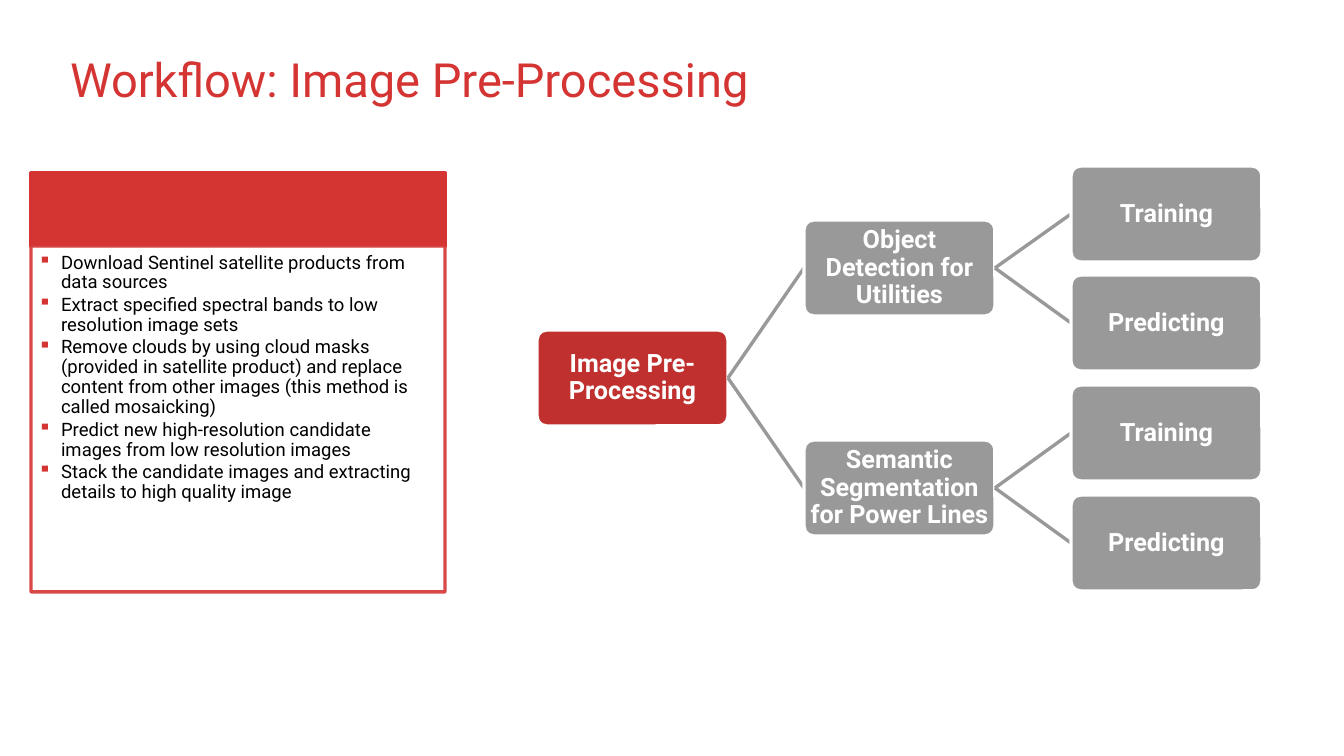
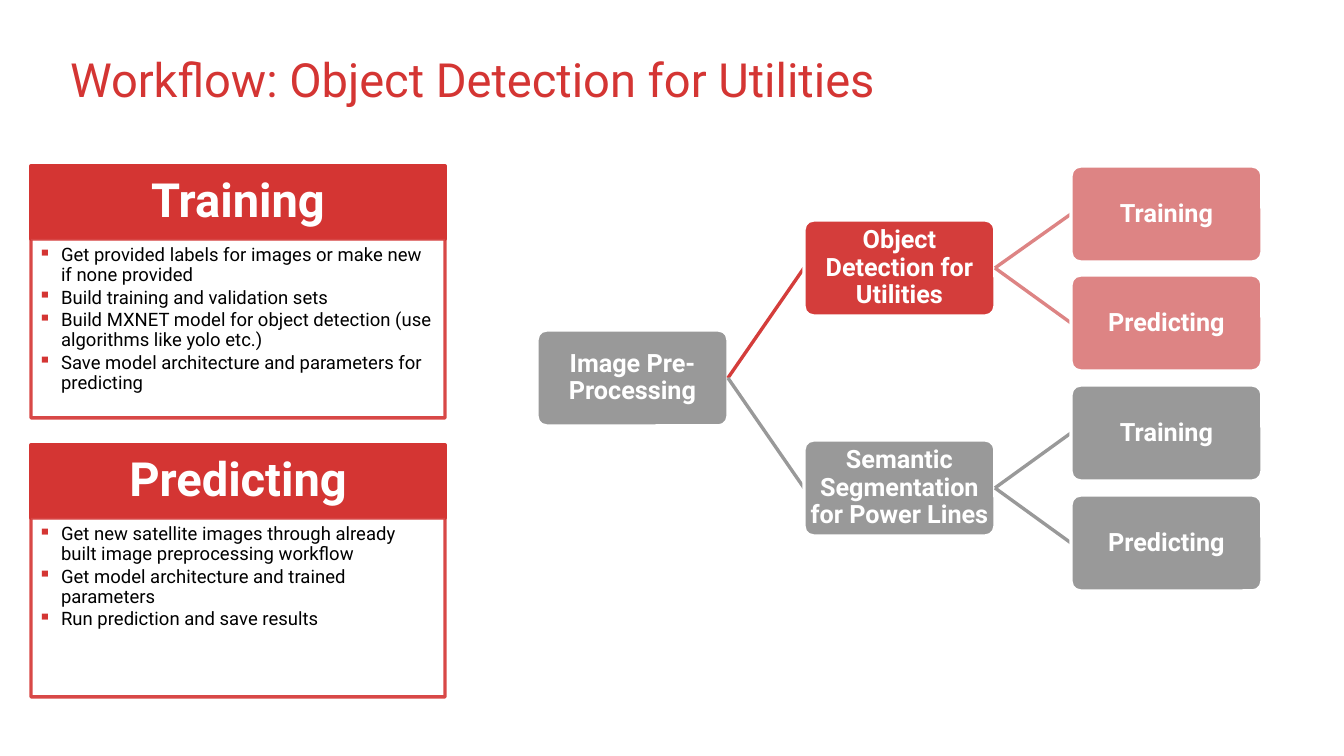
"""Builds two workflow slides: step panels on the left, a workflow tree on the right."""
import lxml.etree
import pptx
import pptx.dml.color
import pptx.enum.shapes
import pptx.enum.text
import pptx.oxml.ns
import pptx.util

PX = 914400 / 121
FONT = "Roboto"
RED = pptx.dml.color.RGBColor(0xD4, 0x35, 0x33)
DEEP_RED = pptx.dml.color.RGBColor(0xC0, 0x30, 0x2E)
BRIGHT_RED = pptx.dml.color.RGBColor(0xD4, 0x3D, 0x3B)
PALE_RED = pptx.dml.color.RGBColor(0xDD, 0x84, 0x84)
GREY = pptx.dml.color.RGBColor(0x99, 0x99, 0x99)
WHITE = pptx.dml.color.RGBColor(0xFF, 0xFF, 0xFF)
BLACK = pptx.dml.color.RGBColor(0, 0, 0)

RECTANGLE = pptx.enum.shapes.MSO_SHAPE.RECTANGLE
ROUNDED = pptx.enum.shapes.MSO_SHAPE.ROUNDED_RECTANGLE
STRAIGHT = pptx.enum.shapes.MSO_CONNECTOR.STRAIGHT
LEFT = pptx.enum.text.PP_ALIGN.LEFT
CENTER = pptx.enum.text.PP_ALIGN.CENTER
TOP = pptx.enum.text.MSO_ANCHOR.TOP
MIDDLE = pptx.enum.text.MSO_ANCHOR.MIDDLE
qn = pptx.oxml.ns.qn

PANEL_LEFT, PANEL_WIDTH, HEADER_HEIGHT = 31, 414, 73
NODE_WIDTH, NODE_HEIGHT = 191, 96
COLUMNS = [537 + 267 * level for level in range(3)]
LEAF_TOPS = [166 + 329 * row // 3 for row in range(4)]
BRANCH_TOPS = [sum(LEAF_TOPS[:2]) // 2, sum(LEAF_TOPS[2:]) // 2]
ROOT_TOP = sum(BRANCH_TOPS) // 2

TREE = [
    ("Image Pre-Processing", None, 0, ROOT_TOP),
    ("Object Detection for Utilities", 0, 1, BRANCH_TOPS[0]),
    ("Training", 1, 2, LEAF_TOPS[0]),
    ("Predicting", 1, 2, LEAF_TOPS[1]),
    ("Semantic Segmentation for Power Lines", 0, 1, BRANCH_TOPS[1]),
    ("Training", 4, 2, LEAF_TOPS[2]),
    ("Predicting", 4, 2, LEAF_TOPS[3]),
]

SLIDES = [
    {
        "title": "Workflow: Image Pre-Processing",
        "highlights": {0: DEEP_RED},
        "panels": [
            (173, 346, "", [
                "Download Sentinel satellite products from data sources",
                "Extract specified spectral bands to low resolution image sets",
                "Remove clouds by using cloud masks (provided in satellite product) and "
                "replace content from other images (this method is called mosaicking)",
                "Predict new high-resolution candidate images from low resolution images",
                "Stack the candidate images and extracting details to high quality image",
            ]),
        ],
    },
    {
        "title": "Workflow: Object Detection for Utilities",
        "highlights": {1: BRIGHT_RED, 2: PALE_RED, 3: PALE_RED},
        "panels": [
            (166, 179, "Training", [
                "Get provided labels for images or make new if none provided",
                "Build training and validation sets",
                "Build MXNET model for object detection (use algorithms like yolo etc.)",
                "Save model architecture and parameters for predicting",
            ]),
            (445, 179, "Predicting", [
                "Get new satellite images through already built image preprocessing workflow",
                "Get model architecture and trained parameters",
                "Run prediction and save results",
            ]),
        ],
    },
]


def add_box(slide, preset, bounds, fill, edge):
    """Add a filled, outlined shape without shadow."""
    box = slide.shapes.add_shape(preset, *[round(v * PX) for v in bounds])
    box.shadow.inherit = False
    box.fill.solid()
    box.fill.fore_color.rgb = fill
    box.line.color.rgb = edge
    box.line.width = pptx.util.Pt(2)
    return box


def write(box, lines, size, color, insets, bold=False, align=CENTER, anchor=MIDDLE, spacing=0.9):
    """Fill a text frame with one paragraph per line."""
    frame = box.text_frame
    frame.word_wrap = True
    frame.vertical_anchor = anchor
    frame.margin_left, frame.margin_top, frame.margin_right, frame.margin_bottom = [
        round(v * PX) for v in insets]
    for number, line in enumerate(lines):
        paragraph = frame.add_paragraph() if number else frame.paragraphs[0]
        paragraph.alignment = align
        paragraph.line_spacing = spacing
        run = paragraph.add_run()
        run.text = line
        run.font.name = FONT
        run.font.size = pptx.util.Pt(size)
        run.font.bold = bold
        run.font.color.rgb = color


deck = pptx.Presentation()
deck.slide_width = round(1344 * PX)
deck.slide_height = round(756 * PX)

for content in SLIDES:
    slide = deck.slides.add_slide(deck.slide_layouts[6])
    title = slide.shapes.add_textbox(*[round(v * PX) for v in (58, 16, 1070, 126)])
    write(title, [content["title"]], 28, RED, (12, 6, 12, 6), align=LEFT, spacing=1.0)

    nodes = []
    for index, (label, parent, level, top) in enumerate(TREE):
        color = content["highlights"].get(index, GREY)
        node = add_box(slide, ROUNDED, (COLUMNS[level], top, NODE_WIDTH, NODE_HEIGHT), color, WHITE)
        node.adjustments[0] = 0.1
        write(node, [label], 15, WHITE, (1, 1, 1, 1), bold=True)
        nodes.append(node)
        if parent is not None:
            branch = slide.shapes.add_connector(STRAIGHT, 0, 0, 0, 0)
            branch.begin_connect(nodes[parent], 3)
            branch.end_connect(node, 1)
            branch.line.color.rgb = color
            branch.line.width = pptx.util.Pt(2)
            lxml.etree.SubElement(branch._element.spPr, qn("a:effectLst"))
            node._element.addprevious(branch._element)

    for top, body_height, heading, steps in content["panels"]:
        header = add_box(slide, RECTANGLE, (PANEL_LEFT, top, PANEL_WIDTH, HEADER_HEIGHT), RED, RED)
        if heading:
            write(header, [heading], 28, WHITE, (11, 6, 11, 6), bold=True)
        body = add_box(slide, RECTANGLE,
                       (PANEL_LEFT, top + HEADER_HEIGHT, PANEL_WIDTH, body_height), WHITE, RED)
        for tint in body._element.spPr.iter(qn("a:srgbClr")):
            lxml.etree.SubElement(tint, qn("a:alpha")).set("val", "90000")
        write(body, steps, 11, BLACK, (7, 7, 11, 12), align=LEFT, anchor=TOP)
        for paragraph in body.text_frame.paragraphs:
            paragraph.level = 1
            paragraph.space_after = pptx.util.Pt(1.5)
            properties = paragraph._p.get_or_add_pPr()
            properties.set("marL", str(round(23 * PX)))
            properties.set("indent", str(round(-23 * PX)))
            bullet_color = lxml.etree.SubElement(properties, qn("a:buClr"))
            lxml.etree.SubElement(bullet_color, qn("a:srgbClr")).set("val", str(RED))
            lxml.etree.SubElement(properties, qn("a:buChar")).set("char", "▪")

deck.save("out.pptx")
